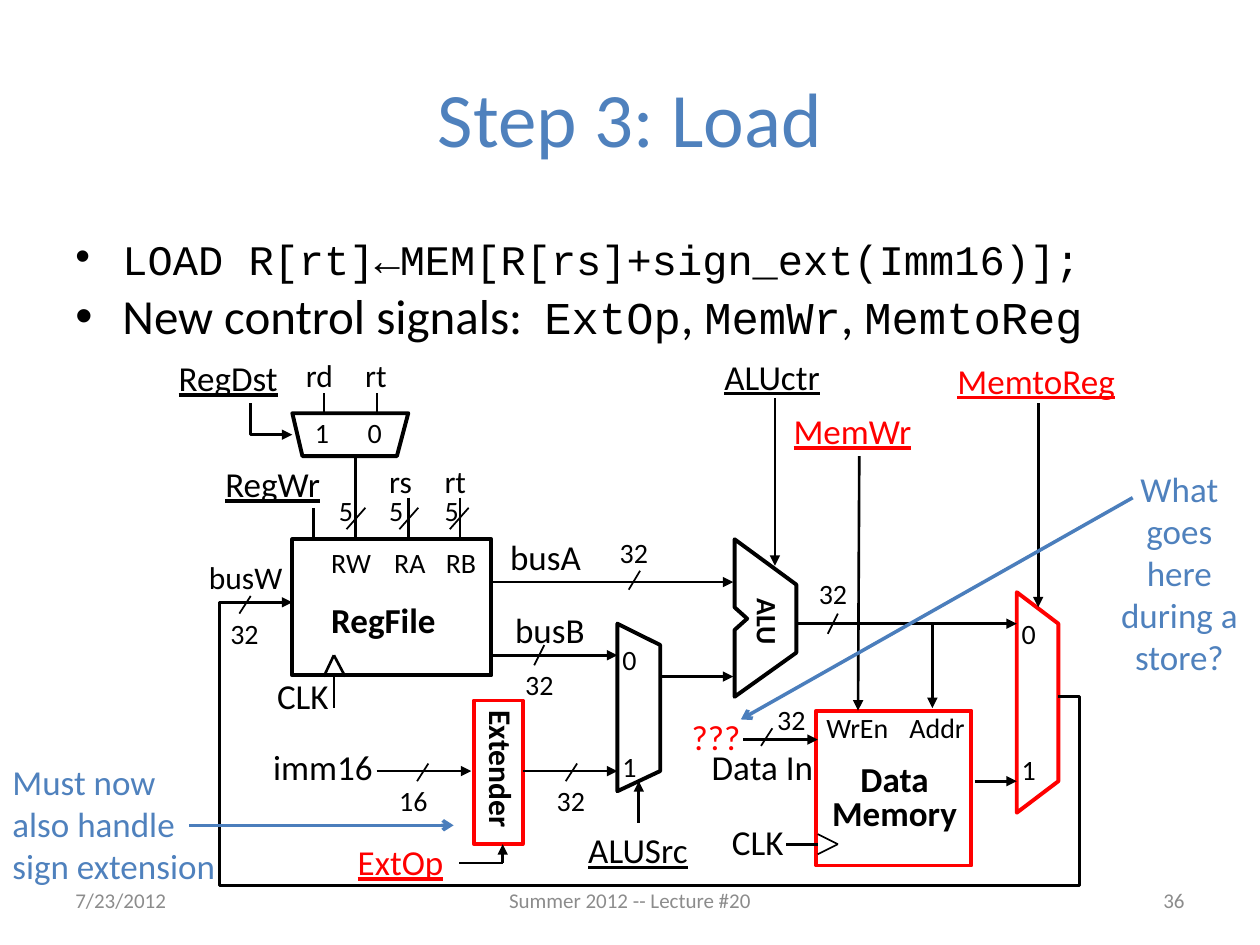
import pptx
import pptx.util
import pptx.dml.color
import pptx.enum.shapes
import pptx.enum.text
import pptx.oxml
import pptx.oxml.ns

Cm, Pt = pptx.util.Cm, pptx.util.Pt
Align = pptx.enum.text.PP_ALIGN
Fit = pptx.enum.text.MSO_AUTO_SIZE
Mid = pptx.enum.text.MSO_ANCHOR.MIDDLE
Kind = pptx.enum.shapes
NS = pptx.oxml.ns.nsdecls("a")
BLACK, RED, BLUE, GREY = "000000", "FF0000", "4F81BD", "8C8C8C"


def rgb(code):
    """Turn a hex string into a colour."""
    return pptx.dml.color.RGBColor.from_string(code)


def write(par, text, size=20, color=BLACK, font="Calibri", bold=False,
          under=False, align=Align.LEFT):
    """Add formatted text to a paragraph."""
    run = par.add_run()
    run.text = text
    run.font.size = Pt(size)
    run.font.name = font
    run.font.bold = bold
    run.font.underline = under
    run.font.color.rgb = rgb(color)
    par.alignment = align


deck = pptx.Presentation()
deck.slide_width, deck.slide_height = Cm(25.4), Cm(19.05)
slide = deck.slides.add_slide(deck.slide_layouts[5])
shapes = slide.shapes

# Title
title = shapes.title
title.left, title.top = Cm(1.27), Cm(0.76)
title.width, title.height = Cm(22.86), Cm(3.18)
title.text_frame.vertical_anchor = Mid
write(title.text_frame.paragraphs[0], "Step 3: Load", size=44, color=BLUE,
      align=Align.CENTER)

# Bullets
body = shapes.add_textbox(Cm(1.27), Cm(4.45), Cm(22.86), Cm(3)).text_frame
body.word_wrap = True
points = [
    [("LOAD R[rt]←MEM[R[rs]+sign_ext(Imm16)];", 24), (" ", 28)],
    [("New control signals:  ", 28), ("ExtOp", 26), (", ", 28),
     ("MemWr", 26), (", ", 28), ("MemtoReg", 26)],
]
for i, point in enumerate(points):
    par = body.add_paragraph() if i else body.paragraphs[0]
    for text, size in point:
        write(par, text, size=size,
              font="Calibri" if size == 28 else "Courier New")
    par.space_before = Pt(0 if i else 5.6)
    props = par._p.get_or_add_pPr()
    props.set("marL", str(Cm(0.95)))
    props.set("indent", str(Cm(-0.95)))
    for tag in ('<a:buFont %s typeface="Arial"/>', '<a:buChar %s char="•"/>'):
        props.append(pptx.oxml.parse_xml(tag % NS))

# Footer
for text, left, width, align in [
        ("7/23/2012", 1.27, 5.93, Align.LEFT),
        ("Summer 2012 -- Lecture #20", 8.68, 8.04, Align.CENTER),
        ("36", 18.2, 5.93, Align.RIGHT)]:
    frame = shapes.add_textbox(Cm(left), Cm(17.65), Cm(width), Cm(1.01)).text_frame
    frame.word_wrap = True
    frame.vertical_anchor = Mid
    write(frame.paragraphs[0], text, size=12, color=GREY, align=align)

# Labels, in inches: text, left, top, width
labels = [
    (dict(size=16), [
        ("32", 6.4, 4.53, .43), ("32", 1.73, 4.84, .43), ("32", 4.82, 4.2, .43),
        ("32", 4.07, 5.25, .43), ("32", 4.32, 6.17, .43), ("16", 3.07, 6.17, .43),
        ("32", 6.07, 5.53, .43), ("5", 2.59, 3.87, .31), ("5", 2.99, 3.87, .31),
        ("5", 3.43, 3.87, .31), ("RW", 2.53, 4.28, .52), ("RA", 3.03, 4.28, .45),
        ("RB", 3.44, 4.28, .45), ("0", 2.82, 3.25, .31), ("1", 2.4, 3.25, .31),
        ("0", 4.84, 5.05, .31), ("1", 4.84, 5.9, .31), ("0", 8.01, 4.84, .31),
        ("1", 8.01, 5.92, .31), ("WrEn", 6.46, 5.59, .7), ("Addr", 7.12, 5.59, .64)]),
    (dict(size=18), [
        ("busW", 1.56, 4.38, .79), ("rs", 2.99, 3.62, .38), ("rt", 2.8, 2.78, .37),
        ("rt", 3.43, 3.62, .37), ("rd", 2.33, 2.78, .42)]),
    (dict(), [
        ("CLK", 2.1, 5.3, .61), ("CLK", 5.71, 6.46, .61), ("busA", 3.95, 4.2, .78),
        ("busB", 3.99, 4.78, .77), ("imm16", 2.07, 5.87, 1),
        ("Data In", 5.55, 5.87, 1.02)]),
    (dict(under=True), [
        ("ALUctr", 5.65, 2.77, 1), ("RegWr", 1.69, 3.62, .96),
        ("RegDst", 1.32, 2.78, 1.03), ("ALUSrc", 4.57, 6.53, .99)]),
    (dict(under=True, color=RED), [
        ("ExtOp", 2.74, 6.62, .89), ("MemtoReg", 7.5, 2.8, 1.45),
        ("MemWr", 6.2, 3.2, 1.14)]),
    (dict(color=RED), [("???", 5.39, 5.63, .59)]),
    (dict(bold=True), [("RegFile", 2.53, 4.7, 1.04)]),
    (dict(bold=True, align=Align.CENTER), [("Data\nMemory", 6.5, 6.03, 1.2)]),
    (dict(bold=True, size=18), [("Extender", 3.39, 5.93, 1.18)]),
    (dict(bold=True, size=16), [("ALU", 5.8, 4.76, .59)]),
    (dict(color=BLUE), [("Must now\nalso handle\nsign extension", 0, 5.99, 1.83)]),
    (dict(color=BLUE, align=Align.CENTER), [
        ("What\ngoes\nhere\nduring a\nstore?", 8.72, 3.66, 1.28)]),
]
for style, spots in labels:
    for text, left, top, width in spots:
        rows = text.split("\n")
        space = 0.8 if text.startswith("Data\n") else 1
        high = 0.1 + len(rows) * space * style.get("size", 20) / 60
        box = shapes.add_textbox(*(Cm(2.54 * n) for n in (left, top, width, high)))
        box.rotation = 90 if text in ("Extender", "ALU") else 0
        frame = box.text_frame
        frame.word_wrap = False
        frame.auto_size = Fit.SHAPE_TO_FIT_TEXT
        for i, row in enumerate(rows):
            par = frame.add_paragraph() if i else frame.paragraphs[0]
            par.line_spacing = space
            write(par, row, **style)

# Each drawn part: shape, colour, line width, arrow
parts = []

# Blocks
for left, top, width, high, color, thick in [
        (3.76, 5.56, .39, 1.14, RED, 2), (2.32, 4.28, 1.58, 1.08, BLACK, 2.25),
        (6.48, 5.64, 1.23, 1.23, RED, 2.25)]:
    block = shapes.add_shape(Kind.MSO_SHAPE.RECTANGLE,
                             *(Cm(2.54 * n) for n in (left, top, width, high)))
    parts.append((block, color, thick, None))

# Muxes, ALU and bent wires
for dots, closed, color, thick, arrow in [
        ([(2.32, 3.28), (2.4, 3.62), (3.15, 3.62), (3.24, 3.28)],
         True, BLACK, 2.25, None),
        ([(4.9, 4.95), (4.9, 6.28), (5.24, 6.12), (5.24, 5.12)],
         True, BLACK, 2.25, None),
        ([(5.83, 4.28), (5.83, 4.82), (5.93, 4.91), (5.83, 5), (5.83, 5.53),
          (6.32, 5.18), (6.32, 4.64)], True, BLACK, 2.25, None),
        ([(8.07, 4.7), (8.07, 6.45), (8.4, 6.2), (8.4, 4.95)],
         True, RED, 2.25, None),
        ([(1.99, 3.2), (1.99, 3.45), (2.32, 3.45)], False, BLACK, 1.5, "triangle"),
        ([(8.4, 5.53), (8.57, 5.53), (8.57, 7.03), (1.74, 7.03), (1.74, 4.78),
          (2.32, 4.78)], False, BLACK, 1.5, "triangle")]:
    dots = [(Cm(2.54 * x), Cm(2.54 * y)) for x, y in dots]
    pen = shapes.build_freeform(*dots[0])
    pen.add_line_segments(dots[1:], close=closed)
    parts.append((pen.convert_to_shape(), color, thick, arrow))

# Straight wires, in inches: from x, y to x, y
wires = [
    (BLACK, 1, None, [
        (1.99, 4.73, 1.9, 4.87), (5.08, 4.53, 4.99, 4.68), (4.24, 5.28, 4.32, 5.12),
        (3.57, 4.2, 3.72, 4.03), (2.75, 4.2, 2.9, 4.03), (3.17, 4.2, 3.32, 4.03),
        (4.58, 6.06, 4.49, 6.2), (3.4, 6.06, 3.31, 6.2), (6.13, 5.78, 6.04, 5.92),
        (6.65, 4.87, 6.57, 5.03), (6.49, 6.62, 6.65, 6.7), (6.65, 6.7, 6.49, 6.78),
        (2.57, 3.12, 2.57, 3.28), (2.99, 3.12, 2.99, 3.28)]),
    (BLACK, 1.5, None, [
        (2.49, 4.03, 2.49, 4.28), (2.82, 3.62, 2.82, 4.28), (3.24, 3.95, 3.24, 4.28),
        (3.65, 3.95, 3.65, 4.28), (2.65, 5.2, 2.57, 5.37), (2.65, 5.2, 2.74, 5.37),
        (2.65, 5.37, 2.65, 5.62), (6.49, 6.7, 6.24, 6.7), (3.99, 6.85, 3.64, 6.85)]),
    (BLACK, 1.5, "triangle", [
        (8.24, 3.2, 8.24, 4.82), (6.82, 3.62, 6.81, 5.64), (3.9, 4.62, 5.82, 4.62),
        (6.15, 3.16, 6.15, 4.49), (3.9, 5.2, 4.9, 5.2), (5.24, 5.37, 5.82, 5.37),
        (4.15, 6.12, 4.9, 6.12), (2.99, 6.12, 3.74, 6.12), (3.99, 6.85, 3.99, 6.7),
        (5.07, 6.53, 5.07, 6.2), (6.32, 4.95, 8.07, 4.95), (7.4, 4.95, 7.4, 5.62),
        (5.9, 5.87, 6.49, 5.87), (7.74, 6.2, 8.07, 6.2)]),
    ("4B7EBC", 2, "arrow", [(1.5, 6.55, 3.6, 6.55), (8.99, 3.95, 5.88, 5.71)]),
]
for color, thick, arrow, ends in wires:
    for end in ends:
        wire = shapes.add_connector(Kind.MSO_CONNECTOR.STRAIGHT,
                                    *(Cm(2.54 * n) for n in end))
        parts.append((wire, color, thick, arrow))

for part, color, thick, arrow in parts:
    part.line.color.rgb = rgb(color)
    part.line.width = Pt(thick)
    if arrow:
        part.line._get_or_add_ln().append(
            pptx.oxml.parse_xml('<a:tailEnd %s type="%s"/>' % (NS, arrow)))
    if hasattr(part, "fill"):
        part.fill.background()
        part.shadow.inherit = False
    else:
        part._element.spPr.append(pptx.oxml.parse_xml("<a:effectLst %s/>" % NS))

deck.save("out.pptx")
